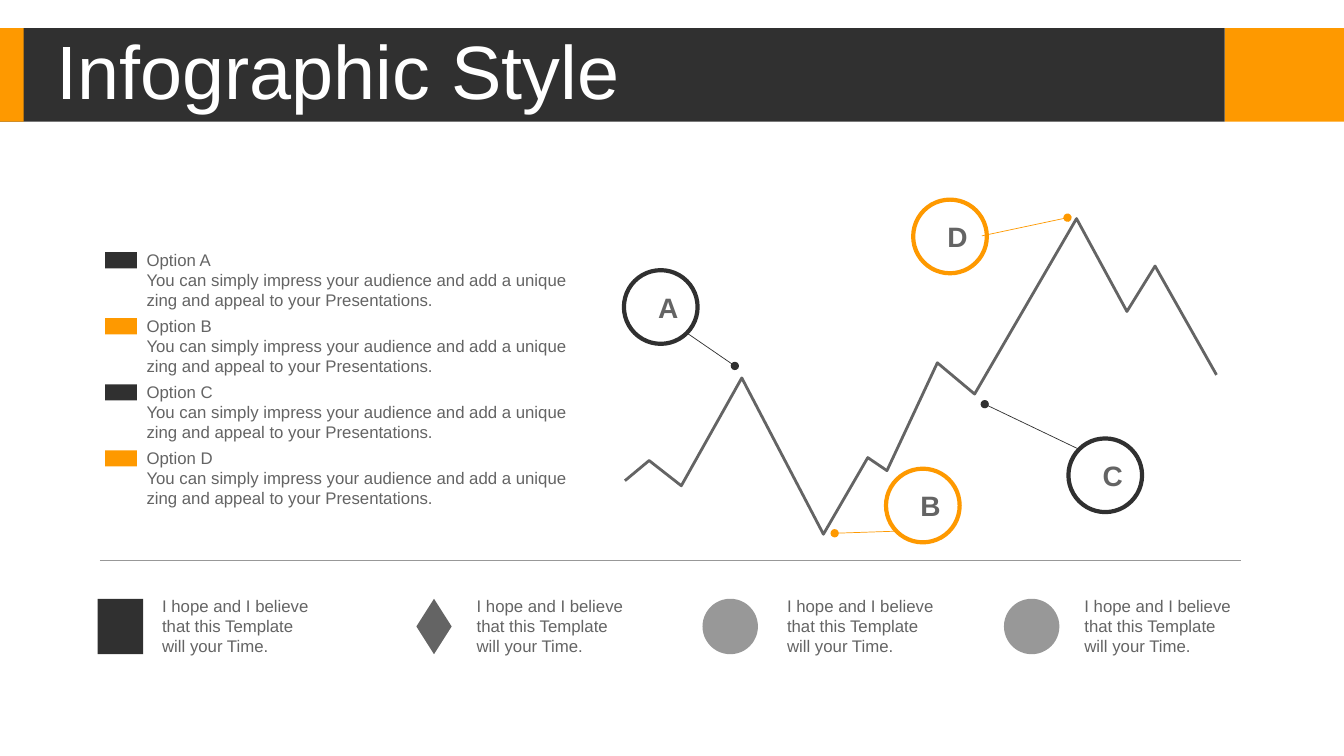
"""Build an infographic slide with a marked trend line."""
from lxml.etree import SubElement
from pptx import Presentation
from pptx.dml.color import RGBColor
from pptx.enum.shapes import MSO_CONNECTOR, MSO_SHAPE
from pptx.enum.text import MSO_ANCHOR, MSO_AUTO_SIZE, PP_ALIGN
from pptx.oxml.ns import qn
from pptx.util import Pt

HUES = {
    "dark": "303030",
    "gold": "FE9900",
    "text": "646464",
    "grey": "989898",
    "white": "FFFFFF",
}
TREND = [
    (446.4, 343.4), (463.7, 329), (486.7, 347), (529.9, 270), (588.2, 381.6),
    (619.9, 326.9), (633.6, 336.2), (669.6, 259.2), (696.2, 281.5),
    (769, 156.2), (805, 222.5), (825.1, 190.1), (869, 267.8),
]
MARKS = [
    ("A", "dark", 445.7, 193, (490.3, 237.6), (524.9, 261.4)),
    ("B", "gold", 632.9, 334.8, (640.8, 379.4), (596.2, 380.9)),
    ("D", "gold", 652.3, 142.6, (701.3, 168.5), (762.5, 155.5)),
    ("C", "dark", 763.2, 313.2, (771.1, 321.1), (703.4, 288.7)),
]
OPTIONS = [("A", "dark"), ("B", "gold"), ("C", "dark"), ("D", "gold")]
BLURB = ("You can simply impress your audience and add a unique "
         "zing and appeal to your Presentations.")
HOPE = "I hope and I believe that this Template will your Time."
NOTES = [
    (MSO_SHAPE.RECTANGLE, "dark", 69.8, 32.4, 108.7),
    (MSO_SHAPE.DIAMOND, "text", 297.4, 25.2, 333.4),
    (MSO_SHAPE.OVAL, "grey", 501.8, 39.6, 555.1),
    (MSO_SHAPE.OVAL, "grey", 717.1, 39.6, 767.5),
]


def hue(name):
    """Return a named colour."""
    return RGBColor.from_string(HUES[name])


def stroke(shape, name, width):
    """Set the outline of a shape."""
    shape.line.color.rgb = hue(name)
    shape.line.width = Pt(width)


def add_form(slide, kind, box, fill, edge=None):
    """Add a filled preset shape, with an outline if asked."""
    shape = slide.shapes.add_shape(kind, *map(Pt, box))
    shape.shadow.inherit = False
    shape.fill.solid()
    shape.fill.fore_color.rgb = hue(fill)
    if edge:
        stroke(shape, edge, 3)
    else:
        shape.line.fill.background()
    return shape


def add_run(para, text, size, name="text", bold=None):
    """Add one styled run to a paragraph."""
    run = para.add_run()
    run.text = text
    run.font.name = "Arial"
    run.font.size = Pt(size)
    run.font.bold = bold
    run.font.color.rgb = hue(name)


def add_text(slide, box, lines, size=12, align=None, bold=None):
    """Add a wrapped text box with one paragraph per line."""
    frame = slide.shapes.add_textbox(*map(Pt, box)).text_frame
    frame.word_wrap = True
    for i, line in enumerate(lines):
        para = frame.add_paragraph() if i else frame.paragraphs[0]
        para.alignment = align
        add_run(para, line, size, bold=bold)


def add_rule(slide, start, end, name, dot=False):
    """Add a thin line, ending in a dot if asked."""
    rule = slide.shapes.add_connector(
        MSO_CONNECTOR.STRAIGHT, *map(Pt, start + end))
    stroke(rule, name, 0.5)
    if dot:
        SubElement(rule.line._get_or_add_ln(), qn("a:tailEnd"), type="oval")
    SubElement(rule._element.spPr, qn("a:effectLst"))


def add_head(slide, text):
    """Add the header bands and the title above them."""
    for left, width, name in [
            (874.8, 85.2, "gold"), (0, 874.8, "dark"), (0, 16.9, "gold")]:
        add_form(slide, MSO_SHAPE.RECTANGLE, (left, 20, width, 66.8), name)
    title = slide.shapes.title
    slide.shapes._spTree.append(title._element)
    title.left, title.top, title.width, title.height = map(
        Pt, (33.1, 25.2, 698.4, 56.9))
    frame = title.text_frame
    frame.word_wrap = True
    frame.auto_size = MSO_AUTO_SIZE.NONE
    frame.vertical_anchor = MSO_ANCHOR.MIDDLE
    para = frame.paragraphs[0]
    para.alignment = PP_ALIGN.LEFT
    para.line_spacing = 0.9
    add_run(para, text, 54, "white")


def add_trend(slide, points):
    """Draw the open trend line."""
    spots = [(Pt(x), Pt(y)) for x, y in points]
    form = slide.shapes.build_freeform(*spots[0])
    form.add_line_segments(spots[1:], close=False)
    trend = form.convert_to_shape()
    trend.shadow.inherit = False
    trend.fill.background()
    stroke(trend, "text", 2)


def add_mark(slide, letter, name, left, top, start, end):
    """Add a lettered ring with its pointer."""
    add_form(slide, MSO_SHAPE.OVAL, (left, top, 52.6, 52.6), "white", name)
    add_rule(slide, start, end, name, dot=True)
    add_text(slide, (left + 17.4, top + 10.8, 19.4, 31.7), [letter],
             20, PP_ALIGN.CENTER, True)


def add_option(slide, row, letter, name):
    """Add one legend row with its swatch."""
    top = 174.8 + row * 47.15
    add_form(slide, MSO_SHAPE.RECTANGLE, (75, top + 5.4, 22.7, 11.5), name)
    add_text(slide, (97.6, top, 316.8, 51), [f"Option {letter}", BLURB])


def add_note(slide, kind, name, left, width, edge):
    """Add a plain icon and the note beside it."""
    add_form(slide, kind, (left, 427.7, width, 39.6), name)
    add_text(slide, (edge, 421.9, 124.6, 51), [HOPE])


def main():
    """Build and save the slide."""
    deck = Presentation()
    deck.slide_width, deck.slide_height = Pt(960), Pt(540)
    slide = deck.slides.add_slide(deck.slide_layouts[5])
    add_head(slide, "Infographic Style")
    add_trend(slide, TREND)
    for mark in MARKS:
        add_mark(slide, *mark)
    for row, option in enumerate(OPTIONS):
        add_option(slide, row, *option)
    add_rule(slide, (71.3, 400.3), (886.3, 400.3), "grey")
    for note in NOTES:
        add_note(slide, *note)
    deck.save("out.pptx")


if __name__ == "__main__":
    main()
